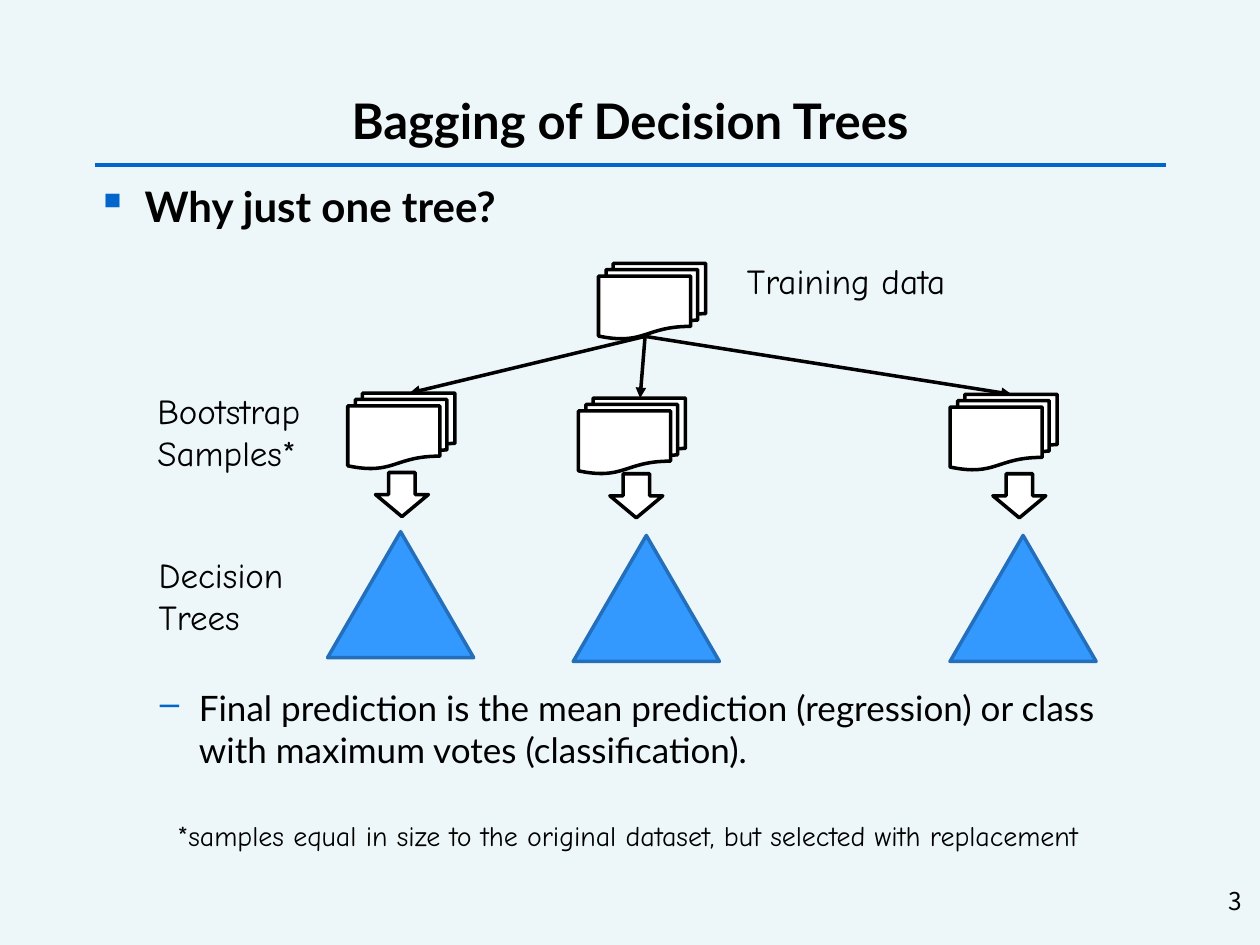
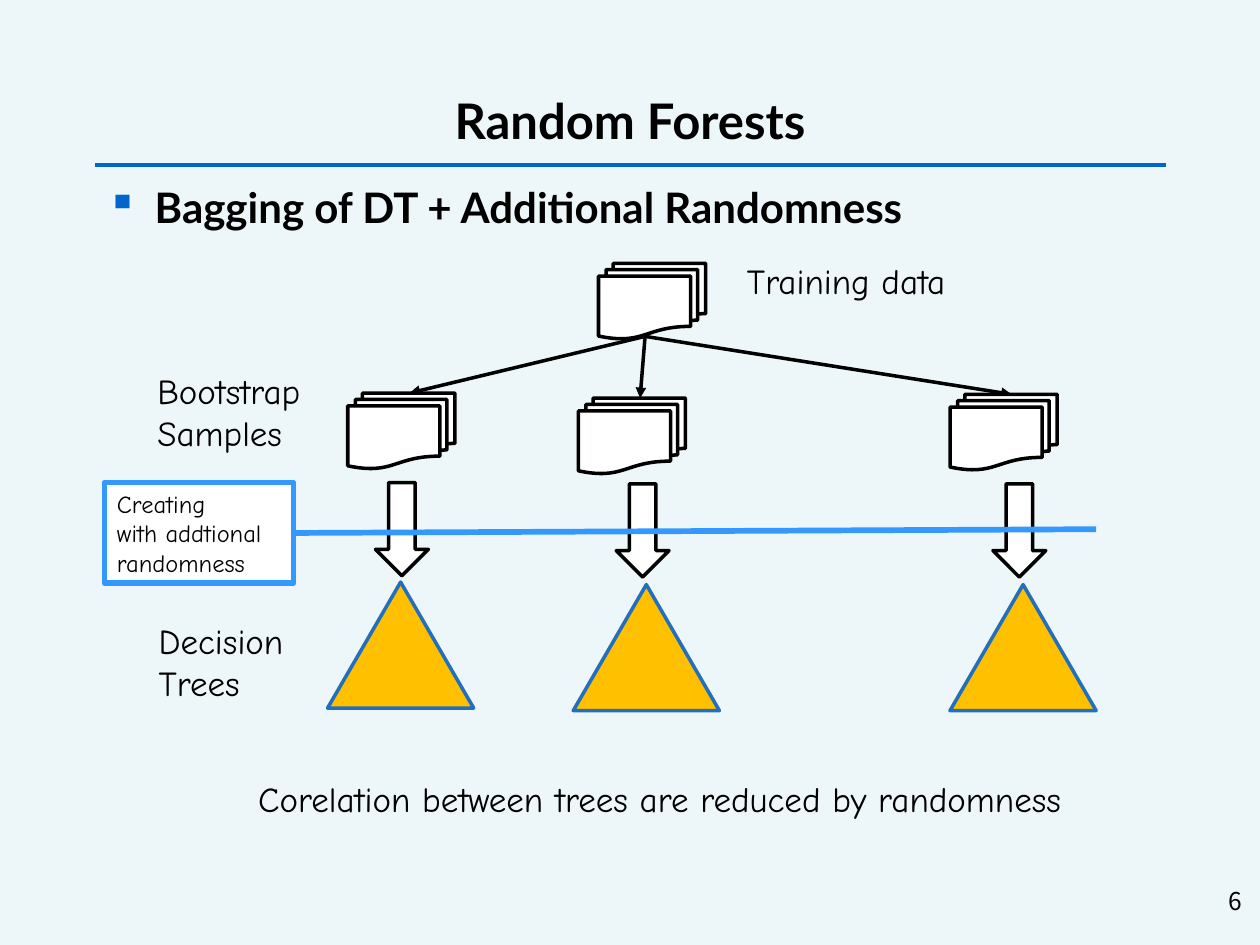
from lxml.etree import SubElement
from pptx import Presentation
from pptx.dml.color import RGBColor
from pptx.enum.shapes import MSO_CONNECTOR as CONN, MSO_SHAPE as SHAPE
from pptx.enum.text import MSO_ANCHOR as ANCHOR, PP_ALIGN as ALIGN
from pptx.oxml.ns import qn
from pptx.util import Inches, Pt

BLACK, WHITE, BACK = "000000", "FFFFFF", "EDF7F9"
RULE, SKY, EDGE, GOLD = "0066CC", "3399FF", "236FBC", "FFC000"
HEAD, HAND, NUMBER = "Lato", "Comic Neue", "Noto Sans CJK KR"
DOC_W, DOC_H = 0.85, 0.6
ROOT = (5.12, 2.67)
DOCS = [(2.76, 3.12), (4.59, 3.16), (7.54, 3.13)]
TIPS = [(3.25, 3.12), (5.08, 3.16), (8.03, 3.13)]
TREE_X = [2.6, 4.55, 7.54]

SLIDES = [
    dict(title="Bagging of Decision Trees", number="3", tree_fill=SKY,
         trees_y=[4.22, 4.25, 4.25], arrow_x=[2.98, 4.84, 7.88],
         arrows_y=[3.75, 3.76, 3.76], arrow_h=0.35,
         bullets=[("▪", "Why just one tree?", 0.67, 1.38, 24, True, 0.38, 0.38),
                  ("–", "Final prediction is the mean prediction (regression) or class "
                        "with maximum votes (classification).",
                   0.67, 5.4, 20, False, 0.81, 0.31)],
         labels=[(["Training data"], 5.83, 2.01, 1.79, 0.44, 20),
                 (["Bootstrap", "Samples*"], 1.15, 3.04, 1.34, 0.77, 20),
                 (["Decision", "Trees"], 1.16, 4.34, 1.19, 0.77, 20),
                 (["*samples equal in size to the original dataset, "
                   "but selected with replacement"], 1.31, 6.45, 7.38, 0.37, 16)]),
    dict(title="Random Forests", number="6", tree_fill=GOLD,
         trees_y=[4.62, 4.64, 4.64], arrow_x=[2.98, 4.89, 7.88],
         arrows_y=[3.83, 3.84, 3.84], arrow_h=0.74,
         bullets=[("▪", "Bagging of DT + Additional Randomness",
                   0.75, 1.39, 24, True, 0.38, 0.38)],
         labels=[(["Training data"], 5.83, 2.01, 1.79, 0.44, 20),
                 (["Bootstrap", "Samples"], 1.15, 2.88, 1.34, 0.77, 20),
                 (["Decision", "Trees"], 1.16, 4.87, 1.19, 0.77, 20),
                 (["Corelation between trees are reduced by randomness"],
                  1.95, 6.12, 6.61, 0.44, 20)],
         note=["Creating", "with addtional randomness"]),
]


def rgb(color):
    return RGBColor.from_string(color)


def add(s, kind, x, y, w, h, fill=None, line=BLACK, weight=2, lines=(), size=20,
        font=HAND, bold=False, align=ALIGN.LEFT, anchor=ANCHOR.TOP, wrap=True):
    box = [Inches(v) for v in (x, y, w, h)]
    if kind == "text":
        sp = s.shapes.add_textbox(*box)
    elif kind == "line":
        sp = s.shapes.add_connector(CONN.STRAIGHT, *box)
        SubElement(sp._element.spPr, qn("a:effectLst"))
    else:
        sp = s.shapes.add_shape(kind, *box)
        sp.shadow.inherit = False
        sp.fill.solid()
        sp.fill.fore_color.rgb = rgb(fill)
    if kind != "text":
        sp.line.color.rgb = rgb(line)
        sp.line.width = Pt(weight)
    if lines:
        tf = sp.text_frame
        tf.word_wrap = wrap
        tf.vertical_anchor = anchor
        for i, text in enumerate(lines):
            p = tf.add_paragraph() if i else tf.paragraphs[0]
            p.alignment = align
            r = p.add_run()
            r.text = text
            r.font.size = Pt(size)
            r.font.name = font
            r.font.bold = bold
            r.font.color.rgb = rgb(BLACK)
    return sp


prs = Presentation()
prs.slide_width, prs.slide_height = Inches(10), Inches(7.5)
master_fill = prs.slide_master.background.fill
master_fill.solid()
master_fill.fore_color.rgb = rgb(BACK)

for d in SLIDES:
    s = prs.slides.add_slide(prs.slide_layouts[6])
    add(s, "line", 0.75, 1.31, 9.25, 1.31, line=RULE, weight=2.25)
    add(s, "text", 0.75, 0.67, 8.5, 0.56, lines=[d["title"]], size=28, font=HEAD,
        bold=True, align=ALIGN.CENTER, anchor=ANCHOR.MIDDLE)
    for mark, text, x, y, size, bold, margin, hang in d["bullets"]:
        sp = add(s, "text", x, y, 8.5, 0.8, lines=[text], size=size, font=HEAD, bold=bold)
        pPr = sp.text_frame.paragraphs[0]._p.get_or_add_pPr()
        pPr.set("marL", str(Inches(margin)))
        pPr.set("indent", str(-Inches(hang)))
        SubElement(SubElement(pPr, qn("a:buClr")), qn("a:srgbClr"), val=RULE)
        SubElement(pPr, qn("a:buChar"), char=mark)
    add(s, "text", 7.88, 6.98, 2.08, 0.5, lines=[d["number"]], size=14, font=NUMBER,
        align=ALIGN.RIGHT)

    for x, y in zip(TREE_X, d["trees_y"]):
        add(s, SHAPE.ISOSCELES_TRIANGLE, x, y, 1.16, 1, d["tree_fill"], EDGE)
    for lines, x, y, w, h, size in d["labels"]:
        add(s, "text", x, y, w, h, lines=lines, size=size, wrap=False)

    add(s, SHAPE.FLOWCHART_MULTIDOCUMENT, 4.75, 2.09, DOC_W, DOC_H, WHITE)
    for tip, doc in zip(TIPS, DOCS):
        branch = add(s, "line", *ROOT, *tip)
        SubElement(branch.line._get_or_add_ln(), qn("a:tailEnd"), type="triangle")
        add(s, SHAPE.FLOWCHART_MULTIDOCUMENT, *doc, DOC_W, DOC_H, WHITE)
    for x, y in zip(d["arrow_x"], d["arrows_y"]):
        add(s, SHAPE.DOWN_ARROW, x, y, 0.42, d["arrow_h"], WHITE)

    if "note" in d:
        note = add(s, SHAPE.RECTANGLE, 0.83, 3.83, 1.5, 0.8, WHITE, SKY, 3.25,
                   lines=d["note"], size=14)
        link = add(s, "line", 2.33, 4.23, 8.7, 4.2, line=SKY, weight=3.25)
        link.begin_connect(note, 3)

prs.save("out.pptx")
